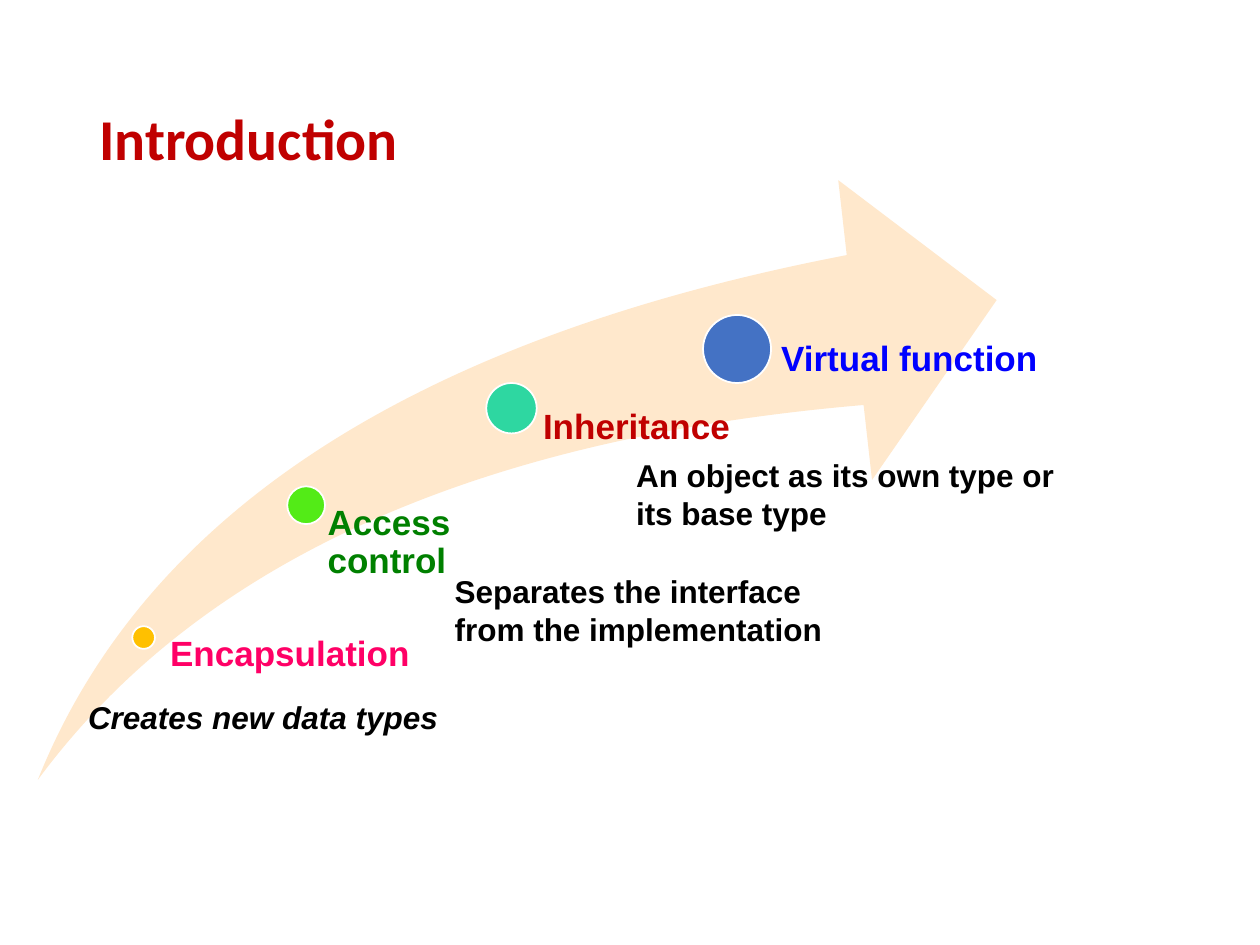
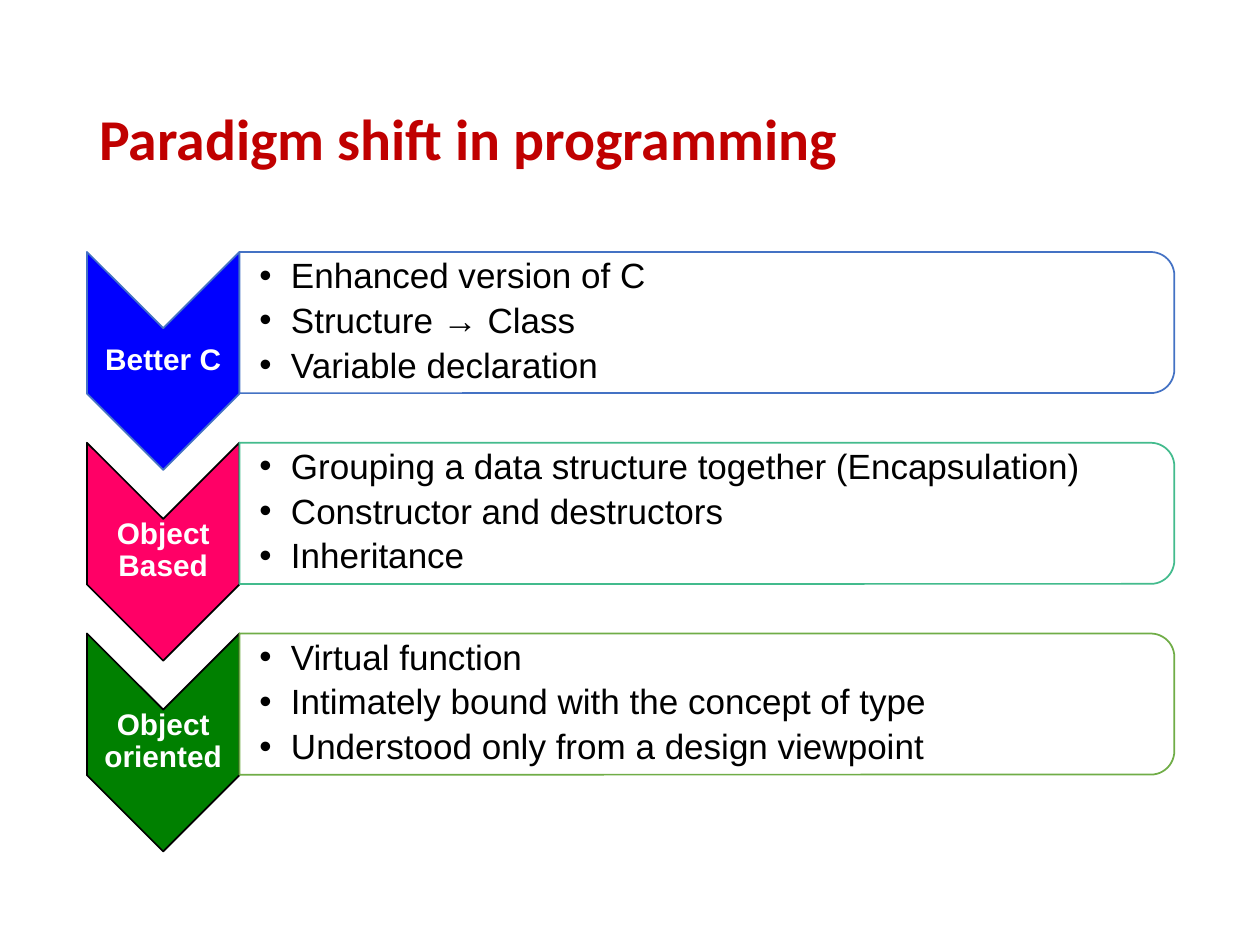
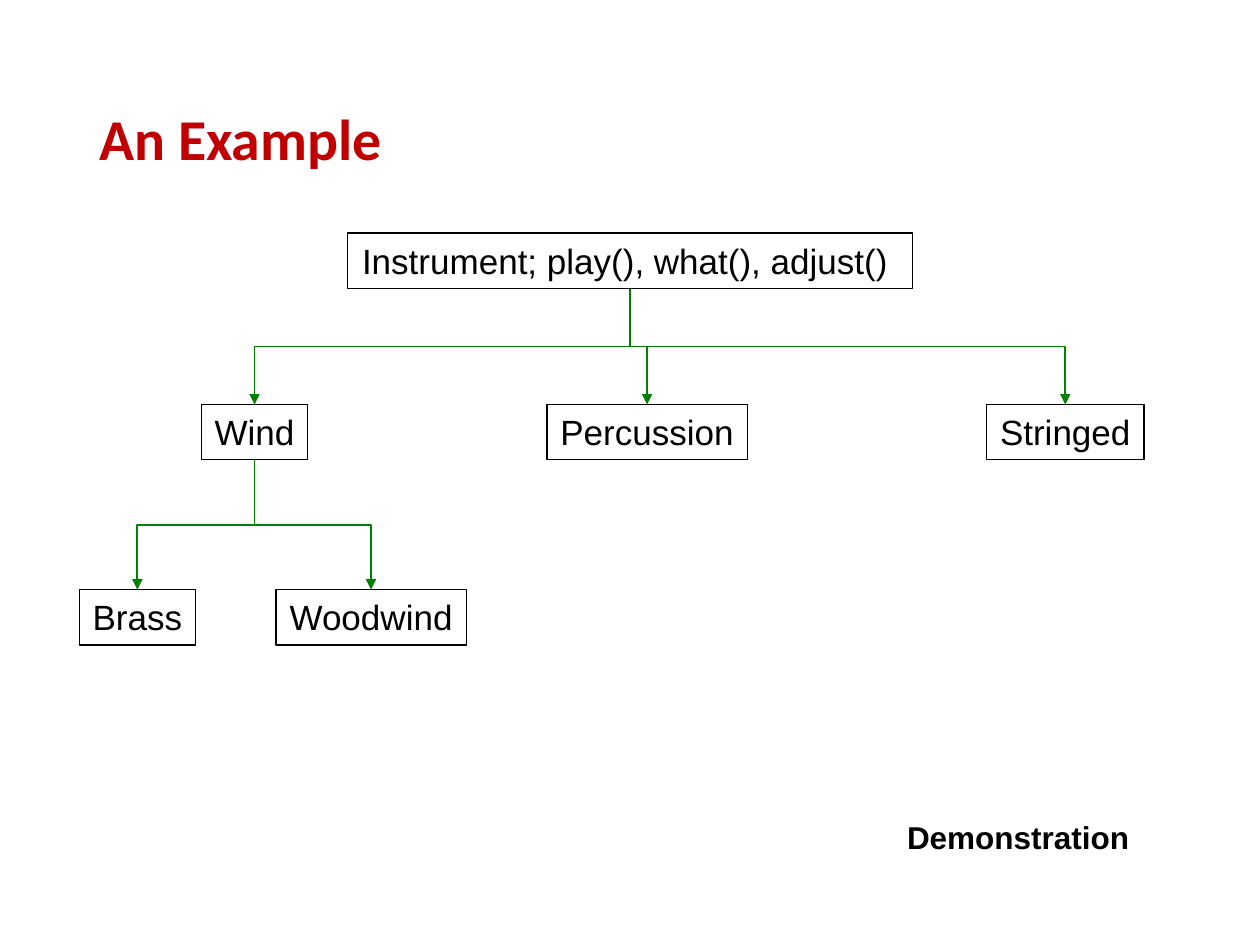
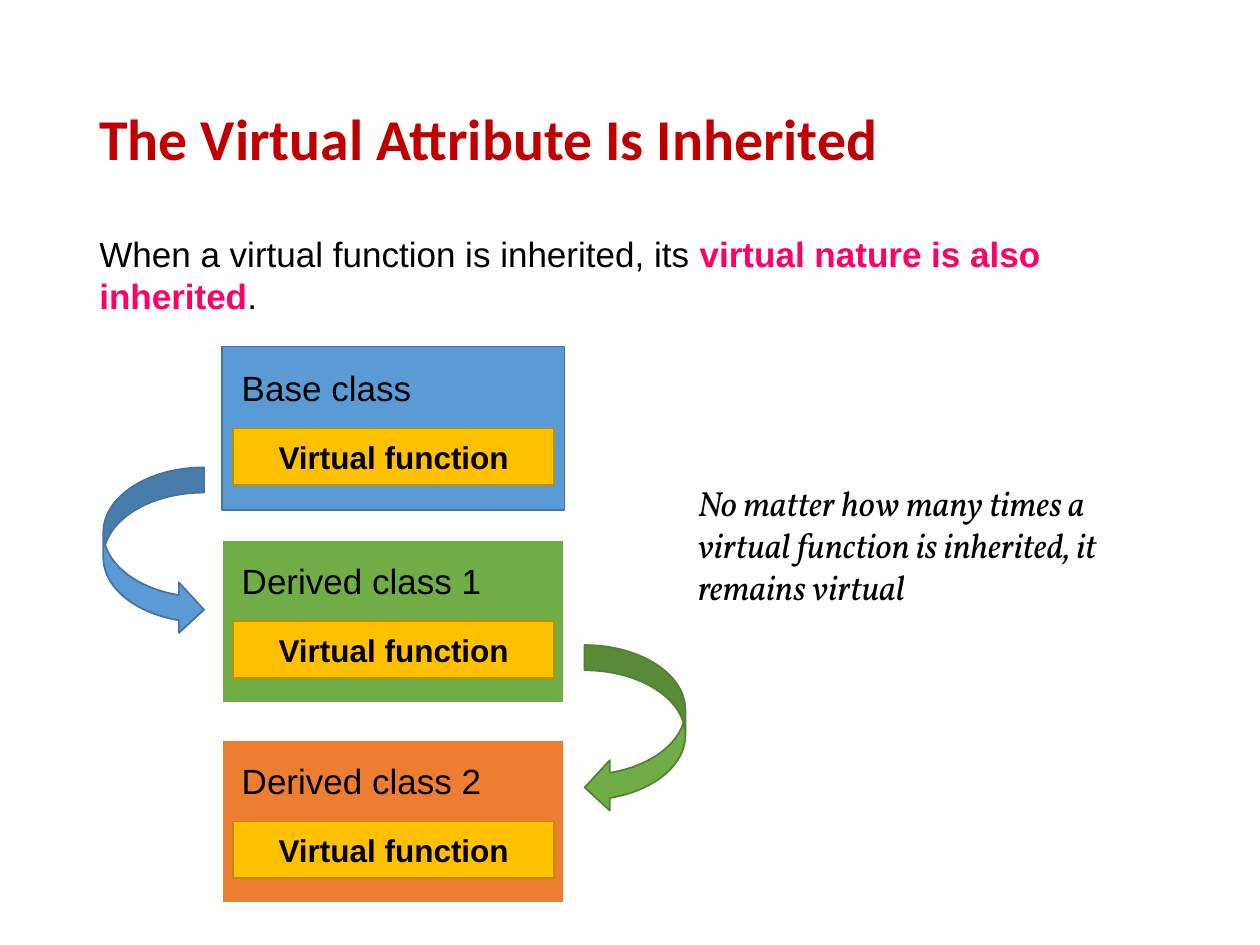
from lxml.etree import SubElement
from pptx import Presentation
from pptx.dml.color import RGBColor
from pptx.enum.shapes import MSO_CONNECTOR, MSO_SHAPE as SHP
from pptx.enum.text import MSO_ANCHOR as ANCHOR, PP_ALIGN as ALIGN
from pptx.oxml.ns import qn
from pptx.util import Inches, Pt

# Grid of square cells that covers the slide
COLS, ROWS = 100, 75
CELL = Inches(10) // COLS

BLACK, WHITE, RED, PINK = "000000", "FFFFFF", "C00000", "FF0066"
GREEN, BLUE, GOLD = "008000", "0000FF", "FFC000"
SKY, SKY_EDGE = "5B9BD5", "43739E"
LEAF, LEAF_EDGE = "70AD47", "538035"

TITLE = dict(name="Calibri", size=Pt(33), bold=True, color=RED)
BODY = dict(name="Arial", size=Pt(20), color=BLACK)
NOTE = dict(BODY, size=Pt(18), bold=True)
QUOTE = dict(BODY, name="Vollkorn", italic=True)
CHEVRON_LABEL = dict(BODY, size=Pt(17), bold=True, color=WHITE)
INSETS = (1, 0.5, 1, 0.5)
TIGHT = (0.1,) * 4


def rgb(color):
    return RGBColor.from_string(color)


def cells(*values):
    return [round(v * CELL) for v in values]


def add_bullet(p):
    p.level = 1
    pPr = p._p.get_or_add_pPr()
    pPr.set("marL", str(Inches(0.25)))
    pPr.set("indent", str(-Inches(0.25)))
    SubElement(pPr, qn("a:buFont"), typeface="Arial")
    SubElement(pPr, qn("a:buChar"), char="•")


def write(sp, lines, fmt, align=ALIGN.LEFT, anchor=ANCHOR.TOP, insets=INSETS,
          wrap=True, spacing=None, after=0, bullets=False):
    """Fill a shape; a line is a string or a list of (text, format changes)."""
    tf = sp.text_frame
    tf.word_wrap, tf.vertical_anchor = wrap, anchor
    for side, inset in zip(("left", "top", "right", "bottom"), cells(*insets)):
        setattr(tf, f"margin_{side}", inset)
    for i, line in enumerate(lines):
        p = tf.add_paragraph() if i else tf.paragraphs[0]
        if bullets:
            add_bullet(p)
        p.alignment, p.line_spacing, p.space_after = align, spacing, Pt(after)
        for text, changes in [(line, {})] if isinstance(line, str) else line:
            r = p.add_run()
            r.text = text
            for key, value in {**fmt, **changes}.items():
                if key == "color":
                    r.font.color.rgb = rgb(value)
                else:
                    setattr(r.font, key, value)


def add_text(s, box, lines, fmt, **layout):
    write(s.shapes.add_textbox(*cells(*box)), lines, fmt, **layout)


def add_shape(s, kind, box, fill=None, line=None, width=1):
    sp = s.shapes.add_shape(kind, *cells(*box))
    sp.shadow.inherit = False
    if fill:
        sp.fill.solid()
        sp.fill.fore_color.rgb = rgb(fill)
    else:
        sp.fill.background()
    if line:
        sp.line.color.rgb = rgb(line)
        sp.line.width = Pt(width)
    else:
        sp.line.fill.background()
    return sp


def add_turned(s, kind, box, fill, line):
    """Add a shape turned by 90 degrees that covers box once turned."""
    x, y, w, h = box
    sp = add_shape(s, kind, (x + (w - h) / 2, y + (h - w) / 2, h, w), fill, line)
    sp.rotation = 90
    return sp


def add_branch(s, start, end):
    """Add an elbow arrow that leaves start downwards and enters end downwards."""
    (x1, y1), (x2, y2) = start, end
    cx, cy = (x1 + x2) / 2, (y1 + y2) / 2
    half_w, half_h = abs(x2 - x1) / 2, (y2 - y1) / 2
    side = 1 if x2 > x1 else -1
    c = s.shapes.add_connector(MSO_CONNECTOR.ELBOW, *cells(
        cx + side * half_h, cy - half_w, cx - side * half_h, cy + half_w))
    spPr = c.element.spPr
    spPr.find(qn("a:xfrm")).set("rot", str((270 if side > 0 else 90) * 60000))
    c.line.color.rgb = rgb(GREEN)
    c.line.width = Pt(1)
    SubElement(c.line._get_or_add_ln(), qn("a:tailEnd"), type="triangle")
    SubElement(spPr, qn("a:effectLst"))


def add_slide(prs, title):
    s = prs.slides.add_slide(prs.slide_layouts[6])
    add_text(s, (6.9, 4, 86.2, 14.5), [title], TITLE,
             anchor=ANCHOR.MIDDLE, spacing=0.9)
    return s


def introduction(prs):
    s = add_slide(prs, "Introduction")
    swoosh = add_shape(s, SHP.SWOOSH_ARROW, (3, 14.3, 76.1, 47.6), "FFE8CC")
    swoosh.adjustments[0] = swoosh.adjustments[1] = 0.25
    # dot: left, top, size, colour; label: box, left inset, colour
    steps = [
        ("Encapsulation", (10.5, 49.7, 1.8, GOLD), (12.6, 50.5, 25.5, 11.3), 0.9, PINK),
        ("Access control", (22.8, 38.6, 3, "53EB17"), (24.4, 40.1, 16, 21.7), 1.6, GREEN),
        ("Inheritance", (38.6, 30.4, 4, "2ED7A1"), (41, 32.5, 25.1, 29.4), 2.1, RED),
        ("Virtual function", (55.8, 25, 5.4, "4472C4"), (59.1, 27.1, 27, 34.1), 2.9, BLUE),
    ]
    for label, (x, y, size, fill), box, inset, color in steps:
        add_shape(s, SHP.OVAL, (x, y, size, size), fill, WHITE)
        add_text(s, box, [label], dict(BODY, bold=True, color=color),
                 insets=(inset, 0, 0, 0), spacing=0.9)
    add_text(s, (6, 54.9, 30.1, 4), ["Creates new data types"],
             dict(NOTE, italic=True), wrap=False)
    add_text(s, (35.1, 44.9, 32.8, 7.1),
             ["Separates the interface from the implementation"], NOTE)
    add_text(s, (49.5, 35.7, 36.6, 7.1),
             ["An object as its own type or its base type"], NOTE)


def paradigm_shift(prs):
    s = add_slide(prs, "Paradigm shift in programming")
    stages = [
        ("Better C", BLUE, "4472C4", "4472C4",
         ["Enhanced version of C", "Structure → Class", "Variable declaration"]),
        ("Object Based", PINK, BLACK, "43BB8D",
         ["Grouping a data structure together (Encapsulation)",
          "Constructor and destructors", "Inheritance"]),
        ("Object oriented", GREEN, BLACK, LEAF,
         ["Virtual function", "Intimately bound with the concept of type",
          "Understood only from a design viewpoint"]),
    ]
    left, chevron_w, top, pitch = 6.9, 12.1, 20, 15.14
    panel_left = left + chevron_w
    for i, (label, fill, edge, panel_edge, points) in enumerate(stages):
        y = top + i * pitch
        add_turned(s, SHP.CHEVRON, (left, y, chevron_w, 17.3), fill, edge)
        add_text(s, (left, y + 6, chevron_w, 5.2), [label], CHEVRON_LABEL,
                 align=ALIGN.CENTER, anchor=ANCHOR.MIDDLE, insets=TIGHT, spacing=0.9)
        add_turned(s, SHP.ROUND_2_SAME_RECTANGLE,
                   (panel_left, y, 74.2, 11.2), WHITE, panel_edge)
        add_text(s, (panel_left, y + 0.5, 73.6, 10.1), points, BODY,
                 anchor=ANCHOR.MIDDLE, insets=(1.6, 0.1, 0.1, 0.1),
                 spacing=0.9, after=4, bullets=True)


def instrument_tree(prs):
    s = add_slide(prs, "An Example")
    root, node_h = "Instrument; play(), what(), adjust() ", 4.4
    nodes = {  # left, top, width
        root: (27.6, 18.5, 44.8),
        "Wind": (16, 32.1, 8.4),
        "Percussion": (43.4, 32.1, 15.9),
        "Stringed": (78.3, 32.1, 12.5),
        "Brass": (6.3, 46.8, 9.2),
        "Woodwind": (21.9, 46.8, 15.1),
    }
    children = {root: ["Wind", "Percussion", "Stringed"],
                "Wind": ["Woodwind", "Brass"]}
    for name, (x, y, w) in nodes.items():
        sp = add_shape(s, SHP.RECTANGLE, (x, y, w, node_h), line=BLACK, width=0.75)
        write(sp, [name], BODY, align=ALIGN.CENTER, wrap=False)
    for parent, names in children.items():
        px, py, pw = nodes[parent]
        for name in names:
            x, y, w = nodes[name]
            add_branch(s, (px + pw / 2, py + node_h), (x + w / 2, y))
    add_text(s, (71, 64.4, 19.8, 4), ["Demonstration"], NOTE, wrap=False)


def add_class(s, name, y, fill, edge, width):
    x = 17.6
    add_shape(s, SHP.RECTANGLE, (x, y, 27.2, 13), fill, edge, width)
    add_text(s, (x + 0.6, y + 1.1, 21.2, 4.4), [name], BODY)
    sp = add_shape(s, SHP.RECTANGLE, (x + 0.9, y + 6.5, 25.5, 4.5), GOLD, "BD8E00")
    write(sp, ["Virtual function"], NOTE, align=ALIGN.CENTER, anchor=ANCHOR.MIDDLE)


def virtual_attribute(prs):
    s = add_slide(prs, "The Virtual Attribute Is Inherited")
    add_text(s, (6.9, 18, 88.6, 7.7), [[
        ("When a virtual function is inherited, its ", {}),
        ("virtual nature is also inherited", dict(color=PINK, bold=True)),
        (".", {})]], BODY)
    add_class(s, "Base class", 27.5, SKY, SKY_EDGE, 1)
    add_class(s, "Derived class 1", 42.8, LEAF, WHITE, 1.5)
    add_class(s, "Derived class 2", 58.7, "ED7D31", WHITE, 1.5)
    add_shape(s, SHP.CURVED_RIGHT_ARROW, (8.2, 37.1, 8, 13.3), SKY, SKY_EDGE)
    add_shape(s, SHP.CURVED_LEFT_ARROW, (46.4, 51.2, 8, 13.3), LEAF, LEAF_EDGE)
    add_text(s, (54.4, 37.7, 38.8, 11.1),
             ["No matter how many times a virtual function is inherited, "
              "it remains virtual"], QUOTE)


def main():
    prs = Presentation()
    prs.slide_width, prs.slide_height = COLS * CELL, ROWS * CELL
    for build in (introduction, paradigm_shift, instrument_tree, virtual_attribute):
        build(prs)
    prs.save("out.pptx")


if __name__ == "__main__":
    main()
